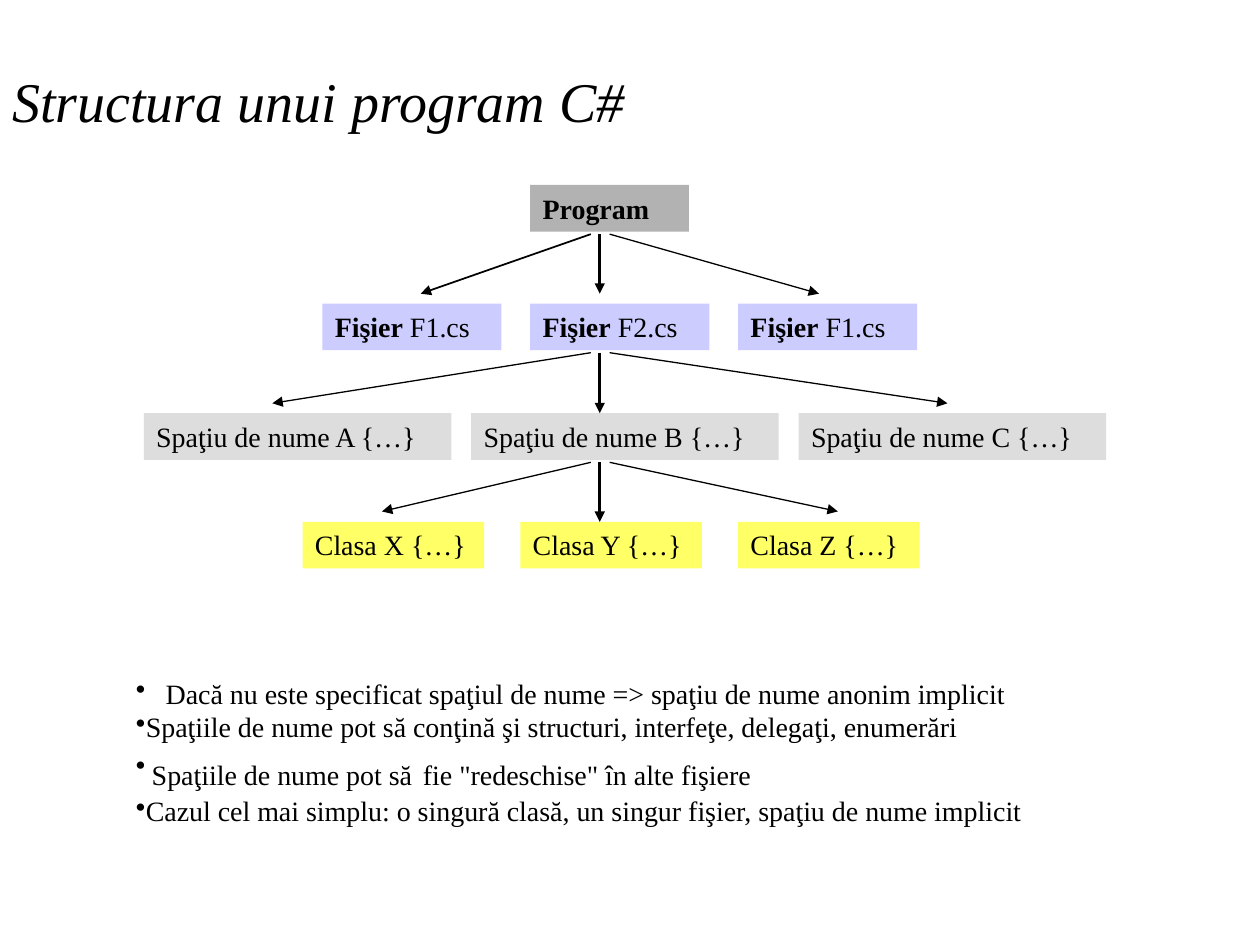
from lxml import etree
from pptx import Presentation
from pptx.dml.color import RGBColor
from pptx.enum.shapes import MSO_CONNECTOR, MSO_SHAPE
from pptx.enum.text import MSO_ANCHOR, PP_ALIGN
from pptx.oxml.ns import qn
from pptx.util import Cm, Pt

RECT = MSO_SHAPE.RECTANGLE
LINE = MSO_CONNECTOR.STRAIGHT
TOP, MIDDLE = MSO_ANCHOR.TOP, MSO_ANCHOR.MIDDLE
LEFT = PP_ALIGN.LEFT
FACE = "Times New Roman"
COLORS = {"ink": "000000", "root": "B2B2B2", "file": "CCCCFF",
          "space": "DDDDDD", "class": "FFFF66"}
HIGH = 0.94

ROWS = [
    ("root", 10.69, 0, 3.2, 3.73, [[("Program", True)]]),
    ("file", 6.5, 4.19, 3.61, 6.12,
     [[("Fişier", True), (f" {name}.cs", False)] for name in ("F1", "F2", "F1")]),
    ("space", 2.9, 6.6, 6.2, 8.33,
     [[(f"Spaţiu de nume {name} {{…}}", False)] for name in "ABC"]),
    ("class", 6.1, 4.39, 3.66, 10.52,
     [[(f"Clasa {name} {{…}}", False)] for name in "XYZ"]),
]

FANS = [
    (4.72, 5.92, 5.92, 8.48, 16.51, 1),
    (7.11, 8.33, 8.13, 5.49, 19.1, 0.75),
    (9.32, 10.52, 10.31, 7.7, 16.89, 0.75),
]

NOTES = [
    (0.6, [("Dacă nu este specificat spaţiul de nume => spaţiu de nume anonim implicit", 16)]),
    (0.2, [("Spaţiile de nume pot să conţină şi structuri, interfeţe, delegaţi, enumerări", 16)]),
    (0.32, [("Spaţiile de nume pot să", 16), (" ", 24),
            ('fie "redeschise" în alte fişiere', 16)]),
    (0.2, [("Cazul cel mai simplu: o singură clasă, un singur fişier, spaţiu de nume implicit", 16)]),
]


def color(name):
    """Return the named colour."""
    return RGBColor.from_string(COLORS[name])


def add_run(par, text, size, bold=False, italic=False):
    """Append one styled run to a paragraph."""
    run = par.add_run()
    run.text = text
    font = run.font
    font.name, font.size = FACE, Pt(size)
    font.bold, font.italic = bold, italic
    font.color.rgb = color("ink")


def add_box(slide, kind, left, top, width, parts):
    """Draw one filled box of the tree."""
    box = slide.shapes.add_shape(RECT, Cm(left), Cm(top), Cm(width), Cm(HIGH))
    box.shadow.inherit = False
    box.fill.solid()
    box.fill.fore_color.rgb = color(kind)
    box.line.fill.background()
    frame = box.text_frame
    frame.vertical_anchor = TOP
    par = frame.paragraphs[0]
    par.alignment = LEFT
    for text, bold in parts:
        add_run(par, text, 16, bold)


def add_row(slide, kind, left, pitch, width, top, labels):
    """Draw one level of the tree at an even pitch."""
    for i, parts in enumerate(labels):
        add_box(slide, kind, left + i * pitch, top, width, parts)


def add_arrow(slide, start, end, weight):
    """Draw a straight line with a triangle head at its end."""
    line = slide.shapes.add_connector(LINE, *map(Cm, start + end))
    line.line.color.rgb = color("ink")
    line.line.width = Pt(weight)
    etree.SubElement(line.line._get_or_add_ln(), qn("a:tailEnd"), type="triangle")
    etree.SubElement(line._element.spPr, qn("a:effectLst"))


def add_fan(slide, top, low, side, left, right, weight):
    """Draw the three arrows from one level down to the next."""
    add_arrow(slide, (12.09, top), (12.09, low), 1.5)
    add_arrow(slide, (11.91, top), (left, side), weight)
    add_arrow(slide, (12.29, top), (right, side), 0.75)


def add_text(slide, left, top, width, height):
    """Add a wrapping text box and return its frame."""
    box = slide.shapes.add_textbox(Cm(left), Cm(top), Cm(width), Cm(height))
    box.text_frame.word_wrap = True
    return box.text_frame


def add_title(slide):
    """Write the slide title."""
    frame = add_text(slide, 0, 1.12, 21.59, 1.8)
    frame.vertical_anchor = MIDDLE
    add_run(frame.paragraphs[0], "Structura unui program C#", 32, italic=True)


def add_notes(slide):
    """Write the bulleted remarks below the tree."""
    frame = add_text(slide, 2.49, 13.51, 19.81, 3.3)
    for i, (indent, parts) in enumerate(NOTES):
        par = frame.add_paragraph() if i else frame.paragraphs[0]
        props = par._p.get_or_add_pPr()
        props.set("marL", str(Cm(indent)))
        props.set("indent", str(-Cm(indent)))
        etree.SubElement(props, qn("a:buChar"), char="•")
        for text, size in parts:
            add_run(par, text, size)


def main():
    """Build and save the slide."""
    deck = Presentation()
    deck.slide_width, deck.slide_height = Cm(25.4), Cm(19.05)
    slide = deck.slides.add_slide(deck.slide_layouts[6])
    add_title(slide)
    for row in ROWS:
        add_row(slide, *row)
    for fan in FANS:
        add_fan(slide, *fan)
    add_notes(slide)
    deck.save("out.pptx")


if __name__ == "__main__":
    main()
